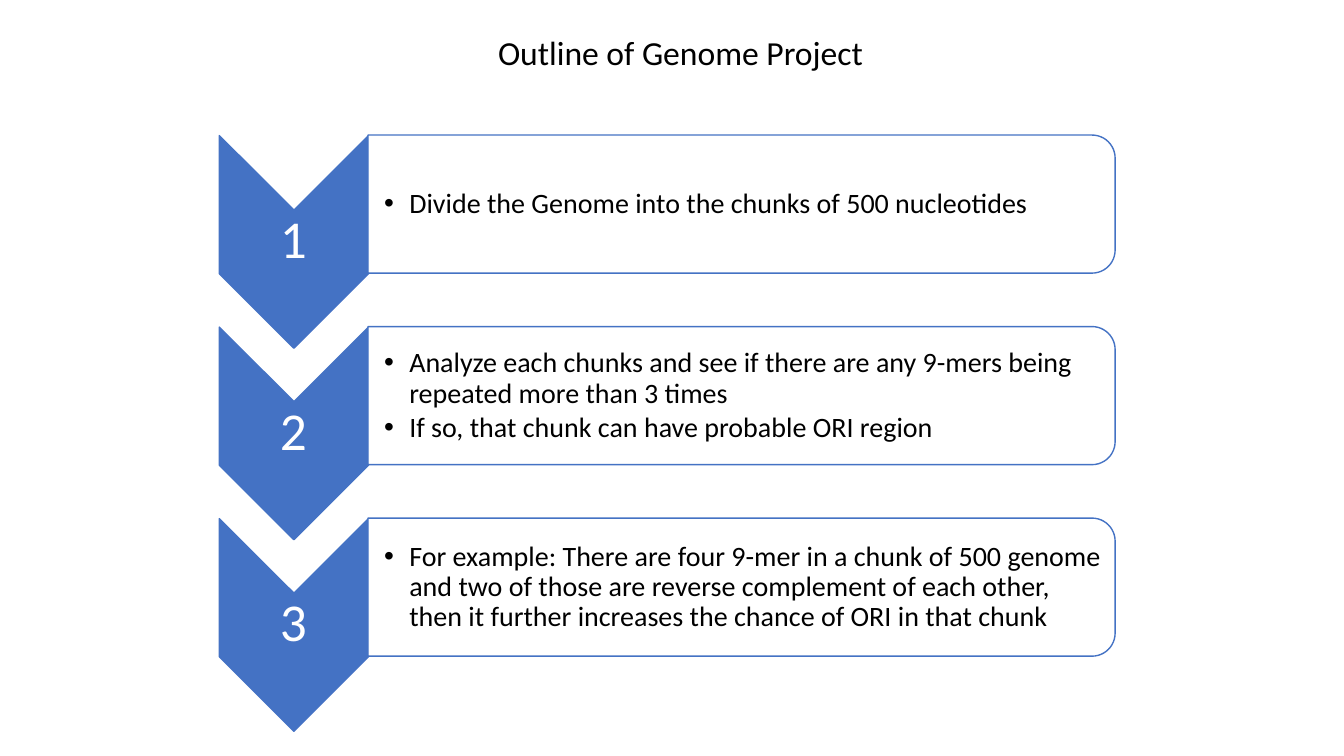
from lxml.etree import SubElement
from pptx import Presentation
from pptx.dml.color import RGBColor
from pptx.enum.shapes import MSO_SHAPE
from pptx.enum.text import MSO_ANCHOR, PP_ALIGN
from pptx.oxml.ns import qn
from pptx.util import Inches, Pt

TITLE = "Outline of Genome Project"
STEPS = [
    ["Divide the Genome into the chunks of 500 nucleotides"],
    ["Analyze each chunks and see if there are any 9-mers being repeated more than 3 times",
     "If so, that chunk can have probable ORI region"],
    ["For example: There are four 9-mer in a chunk of 500 genome and two of those are "
     "reverse complement of each other, then it further increases the chance of ORI in that chunk"],
]
COLORS = {"blue": "4472C4", "white": "FFFFFF", "black": "000000"}
FONT = "Calibri"
PITCH = 1.9

deck = Presentation()
deck.slide_width, deck.slide_height = Inches(13.33), Inches(7.5)
slide = deck.slides.add_slide(deck.slide_layouts[6])


def color(name):
    return RGBColor.from_string(COLORS[name])


def write(lines, left, top, width, height, size, ink="black", align=PP_ALIGN.CENTER,
          anchor=MSO_ANCHOR.MIDDLE, inset=(0.1, 0.05, 0.1, 0.05), space=1, after=0, bullet=False):
    box = slide.shapes.add_textbox(Inches(left), Inches(top), Inches(width), Inches(height))
    frame = box.text_frame
    frame.word_wrap = True
    frame.vertical_anchor = anchor
    (frame.margin_left, frame.margin_top,
     frame.margin_right, frame.margin_bottom) = map(Inches, inset)
    frame.text = "\n".join(lines)
    for para in frame.paragraphs:
        para.alignment = align
        para.line_spacing = space
        para.space_after = Pt(after)
        font = para.runs[0].font
        font.name, font.size = FONT, Pt(size)
        font.color.rgb = color(ink)
        if bullet:
            props = para._p.get_or_add_pPr()
            props.set("marL", str(Inches(0.25)))
            props.set("indent", str(-Inches(0.25)))
            SubElement(props, qn("a:buFont")).set("typeface", "Arial")
            SubElement(props, qn("a:buChar")).set("char", "•")


def draw(kind, left, top, width, height, fill):
    shape = slide.shapes.add_shape(kind, Inches(left), Inches(top), Inches(width), Inches(height))
    shape.rotation = 90
    shape.shadow.inherit = False
    shape.fill.solid()
    shape.fill.fore_color.rgb = color(fill)
    shape.line.color.rgb = color("blue")
    shape.line.width = Pt(1)
    return shape


for index, lines in enumerate(STEPS):
    drop = index * PITCH
    draw(MSO_SHAPE.CHEVRON, 1.86, 1.66 + drop, 2.11, 1.48, "blue")
    write([str(index + 1)], 2.17, 2.08 + drop, 1.48, 0.63, 38, ink="white",
          inset=(0.03,) * 4, space=0.9)
    panel = draw(MSO_SHAPE.ROUND_2_SAME_RECTANGLE, 6.67, -1.68 + drop, 1.37, 7.41, "white")
    tint = panel._element.spPr.find(qn("a:solidFill")).find(qn("a:srgbClr"))
    SubElement(tint, qn("a:alpha")).set("val", "90000")
    write(lines, 3.65, 1.41 + drop, 7.34, 1.24, 20, align=PP_ALIGN.LEFT,
          inset=(0.16, 0.01, 0.01, 0.01), space=0.9, after=3, bullet=True)

write([TITLE], 2.96, 0.27, 7.58, 0.5, 24, anchor=MSO_ANCHOR.TOP)
deck.save("out.pptx")
